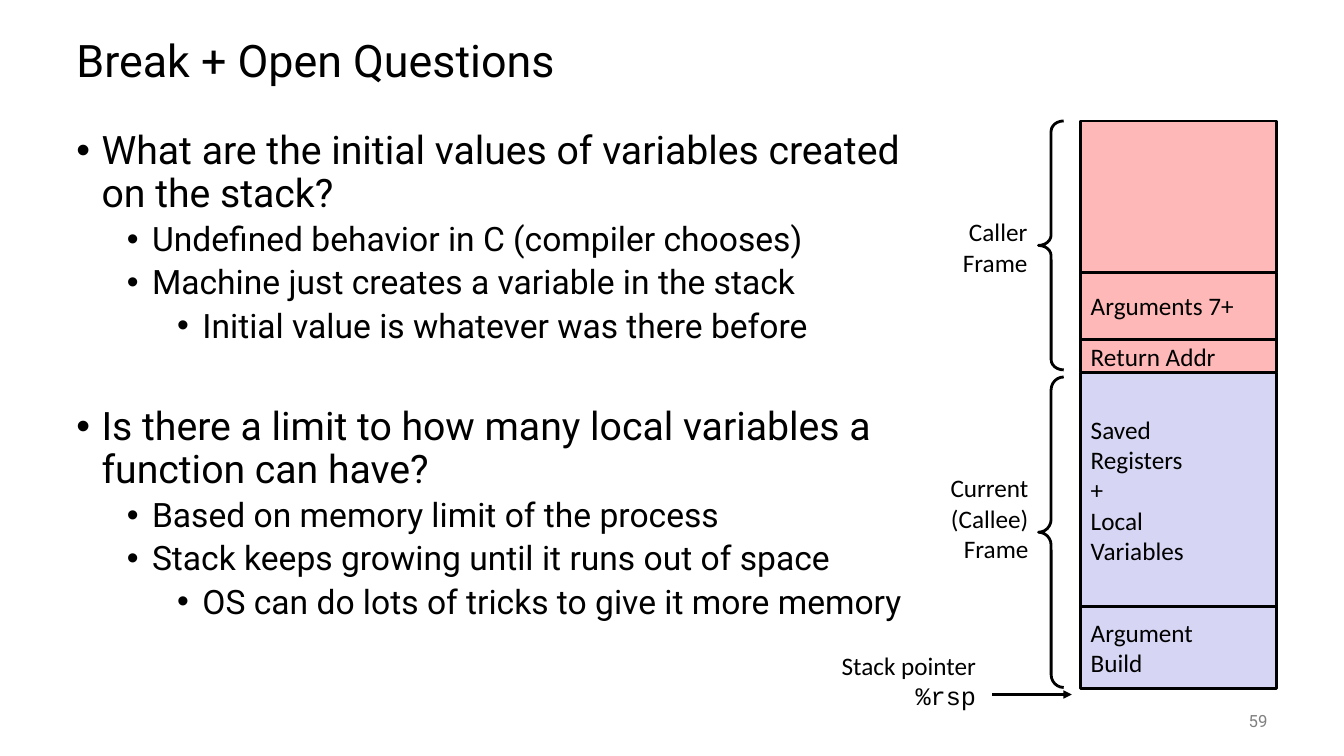
from dataclasses import dataclass
from typing import Any

from lxml import etree
from pptx import Presentation
from pptx import util as u
from pptx.dml.color import RGBColor
from pptx.enum import shapes, text
from pptx.oxml import ns

BLACK = RGBColor(0x00, 0x00, 0x00)
GRAY = RGBColor(0x80, 0x80, 0x80)
CALLER_PINK = RGBColor(0xFF, 0xB8, 0xB8)
CALLEE_LAVENDER = RGBColor(0xD6, 0xD6, 0xF4)

LEFT, RIGHT = text.PP_ALIGN.LEFT, text.PP_ALIGN.RIGHT
TOP, MIDDLE = text.MSO_ANCHOR.TOP, text.MSO_ANCHOR.MIDDLE
STACK_LEFT, STACK_TOP, STACK_WIDTH = 10.72, 1.2, 1.94
BRACE_LEFT, BRACE_WIDTH = 10.3, 0.25


@dataclass
class Line:
    words: str
    size: float = 18
    font: str = "Calibri"
    color: RGBColor = BLACK
    align: Any = LEFT
    spacing: float = 1.0
    space_before: float = 0
    bullet_level: int | None = None


@dataclass
class TextArea:
    left: float
    top: float
    width: float
    height: float
    lines: list[Line]
    anchor: Any = TOP
    inset_x: float = 0.1
    inset_y: float = 0.05


@dataclass
class StackSection:
    height: float
    color: RGBColor
    words: list[str]


@dataclass
class Brace:
    top: float
    height: float
    curve: float


def question(words: str, space_before: float = 0) -> Line:
    return Line(words, 28, "Roboto", spacing=0.9, space_before=space_before, bullet_level=0)


def answer(words: str, level: int = 1) -> Line:
    return Line(words, 24, "Roboto", spacing=0.9, space_before=5, bullet_level=level)


def frame_label(left: float, top: float, width: float, height: float, lines: list[Line]) -> TextArea:
    """Right-aligned label beside the stack, with narrow insets."""
    for line in lines:
        line.align = RIGHT
    return TextArea(left, top, width, height, lines, inset_x=0.04, inset_y=0.04)


TEXT_AREAS = [
    TextArea(0.66, 0.25, 12, 0.75,
             [Line("Break + Open Questions", 32, "Roboto", spacing=0.9)], MIDDLE),
    TextArea(0.66, 1.25, 8.43, 5.5, [
        question("What are the initial values of variables created on the stack?"),
        answer("Undefined behavior in C (compiler chooses)"),
        answer("Machine just creates a variable in the stack"),
        answer("Initial value is whatever was there before", 2),
        question("Is there a limit to how many local variables a function can have?", 44),
        answer("Based on memory limit of the process"),
        answer("Stack keeps growing until it runs out of space"),
        answer("OS can do lots of tricks to give it more memory", 2),
    ]),
    TextArea(11.67, 6.95, 1, 0.4, [Line("59", 12, "Roboto", GRAY, RIGHT)], MIDDLE),
    frame_label(9.48, 2.11, 0.75, 0.69, [Line("Caller"), Line("Frame")]),
    frame_label(9.1, 4.65, 1.14, 0.99, [Line("Current"), Line("(Callee)"), Line("Frame")]),
    frame_label(8.1, 6.41, 1.62, 0.67,
                [Line("Stack pointer"), Line("%rsp", font="Courier New")]),
]

STACK = [
    StackSection(1.5, CALLER_PINK, []),
    StackSection(0.67, CALLER_PINK, ["Arguments 7+"]),
    StackSection(0.33, CALLER_PINK, ["Return Addr"]),
    StackSection(2.32, CALLEE_LAVENDER, ["Saved", "Registers", "+", "Local", "Variables"]),
    StackSection(0.81, CALLEE_LAVENDER, ["Argument", "Build"]),
]

BRACES = [Brace(1.2, 2.47, 0.41), Brace(3.74, 3.08, 0.51)]


def apply(target: Any, formats: dict[str, Any]) -> None:
    for attribute, value in formats.items():
        setattr(target, attribute, value)


def add_bullet(paragraph: Any, level: int) -> None:
    paragraph.level = level
    properties = paragraph._p.get_or_add_pPr()
    properties.set("marL", str(u.Inches(0.25 + 0.5 * level)))
    properties.set("indent", str(u.Inches(-0.25)))
    etree.SubElement(properties, ns.qn("a:buFont"), typeface="Arial")
    etree.SubElement(properties, ns.qn("a:buChar"), char="•")


def write_lines(frame: Any, lines: list[Line], anchor: Any, inset_x: float, inset_y: float) -> None:
    apply(frame, {
        "word_wrap": True, "vertical_anchor": anchor,
        "margin_left": u.Inches(inset_x), "margin_right": u.Inches(inset_x),
        "margin_top": u.Inches(inset_y), "margin_bottom": u.Inches(inset_y),
    })
    for index, line in enumerate(lines):
        paragraph = frame.add_paragraph() if index else frame.paragraphs[0]
        if line.bullet_level is not None:
            add_bullet(paragraph, line.bullet_level)
        apply(paragraph, {"alignment": line.align, "line_spacing": line.spacing,
                          "space_before": u.Pt(line.space_before)})
        run = paragraph.add_run()
        run.text = line.words
        apply(run.font, {"size": u.Pt(line.size), "name": line.font})
        run.font.color.rgb = line.color


def add_text_area(slide: Any, area: TextArea) -> None:
    box = slide.shapes.add_textbox(u.Inches(area.left), u.Inches(area.top),
                                   u.Inches(area.width), u.Inches(area.height))
    write_lines(box.text_frame, area.lines, area.anchor, area.inset_x, area.inset_y)


def outline(shape: Any) -> None:
    shape.line.color.rgb = BLACK
    shape.line.width = u.Pt(2)


def add_section(slide: Any, section: StackSection, top: float) -> None:
    block = slide.shapes.add_shape(
        shapes.MSO_SHAPE.RECTANGLE, u.Inches(STACK_LEFT), u.Inches(top),
        u.Inches(STACK_WIDTH), u.Inches(section.height))
    block.shadow.inherit = False
    block.fill.solid()
    block.fill.fore_color.rgb = section.color
    outline(block)
    write_lines(block.text_frame, [Line(words) for words in section.words], MIDDLE, 0.1, 0)


def add_brace(slide: Any, brace: Brace) -> None:
    bracket = slide.shapes.add_shape(
        shapes.MSO_SHAPE.LEFT_BRACE, u.Inches(BRACE_LEFT), u.Inches(brace.top),
        u.Inches(BRACE_WIDTH), u.Inches(brace.height))
    bracket.shadow.inherit = False
    bracket.adjustments[0] = brace.curve
    bracket.fill.background()
    outline(bracket)


def add_stack_pointer_arrow(slide: Any) -> None:
    arrow = slide.shapes.add_connector(
        shapes.MSO_CONNECTOR.STRAIGHT, u.Inches(9.84), u.Inches(6.89),
        u.Inches(10.63), u.Inches(6.89))
    outline(arrow)
    etree.SubElement(arrow.line._get_or_add_ln(), ns.qn("a:tailEnd"), type="triangle")
    etree.SubElement(arrow._element.spPr, ns.qn("a:effectLst"))


def main() -> None:
    deck = Presentation()
    apply(deck, {"slide_width": u.Inches(13.33), "slide_height": u.Inches(7.5)})
    slide = deck.slides.add_slide(deck.slide_layouts[6])
    for area in TEXT_AREAS:
        add_text_area(slide, area)
    top = STACK_TOP
    for section in STACK:
        add_section(slide, section, top)
        top += section.height
    for brace in BRACES:
        add_brace(slide, brace)
    add_stack_pointer_arrow(slide)
    deck.save("out.pptx")


if __name__ == "__main__":
    main()
